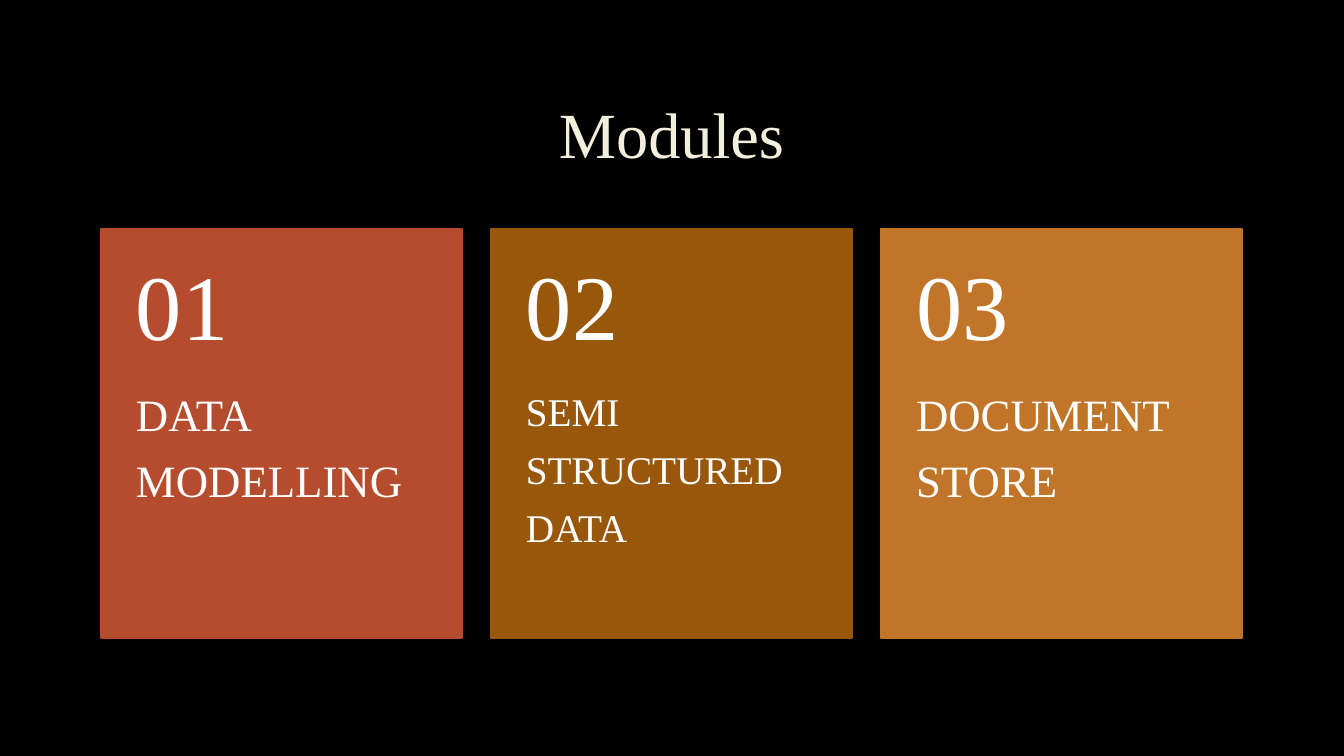
import pptx
import pptx.util
import pptx.dml.color
import pptx.enum.shapes
import pptx.enum.text

ANCHOR = pptx.enum.text.MSO_ANCHOR
ALIGN = pptx.enum.text.PP_ALIGN


def px(n):
    return pptx.util.Emu(round(n * 914400 / 100.8))


def color(value):
    return pptx.dml.color.RGBColor.from_string(value)


class Deck:
    font = "Times New Roman"
    line_spacing = 0.9
    space_ratio = 0.39

    def __init__(self, width, height, background):
        self.prs = pptx.Presentation()
        self.prs.slide_width, self.prs.slide_height = px(width), px(height)
        self.s = self.prs.slides.add_slide(self.prs.slide_layouts[6])
        self.s.background.fill.solid()
        self.s.background.fill.fore_color.rgb = color(background)
        self.shapes = self.s.shapes

    def group(self):
        self.shapes = self.s.shapes.add_group_shape().shapes

    def rect(self, box, fill):
        kind = pptx.enum.shapes.MSO_SHAPE.RECTANGLE
        sp = self.shapes.add_shape(kind, *map(px, box))
        sp.shadow.inherit = False
        sp.fill.solid()
        sp.fill.fore_color.rgb = color(fill)
        sp.line.color.rgb = color(fill)
        sp.line.width = pptx.util.Pt(1.25)

    def text(self, box, lines, size, fill="FFFFFF", align=ALIGN.LEFT,
             anchor=ANCHOR.MIDDLE, insets=(10, 5, 10, 5)):
        tf = self.shapes.add_textbox(*map(px, box)).text_frame
        left, top, right, bottom = map(px, insets)
        frame = {"word_wrap": True, "vertical_anchor": anchor,
                 "margin_left": left, "margin_top": top,
                 "margin_right": right, "margin_bottom": bottom}
        for name, value in frame.items():
            setattr(tf, name, value)
        for i, line in enumerate(lines):
            p = tf.add_paragraph() if i else tf.paragraphs[0]
            p.alignment = align
            p.line_spacing = self.line_spacing
            p.space_after = pptx.util.Pt(round(size * self.space_ratio, 1))
            r = p.add_run()
            r.text = line
            for name, value in {"name": self.font, "size": pptx.util.Pt(size)}.items():
                setattr(r.font, name, value)
            r.font.color.rgb = color(fill)


def main():
    deck = Deck(1344, 756, "000000")
    deck.text((101, 68, 1141, 139), ["Modules"], 46, "F4EEDC", ALIGN.CENTER)

    modules = [
        ("B54C2D", 32, ["DATA", "MODELLING"]),
        ("99570C", 28, ["SEMI", "STRUCTURED", "DATA"]),
        ("C17529", 32, ["DOCUMENT", "STORE"]),
    ]
    top, width, height, number_height, pitch = 229, 361, 409, 164, 390
    deck.group()
    for i, (fill, size, lines) in enumerate(modules):
        left = 101 + i * pitch
        deck.rect((left, top, width, height), fill)
        deck.text((left, top + number_height, width, height - number_height),
                  lines, size, anchor=ANCHOR.TOP, insets=(35, 0, 35, 36))
        deck.text((left, top, width, number_height), [f"{i + 1:02}"], 66,
                  insets=(35, 18, 35, 18))

    deck.prs.save("out.pptx")


if __name__ == "__main__":
    main()
